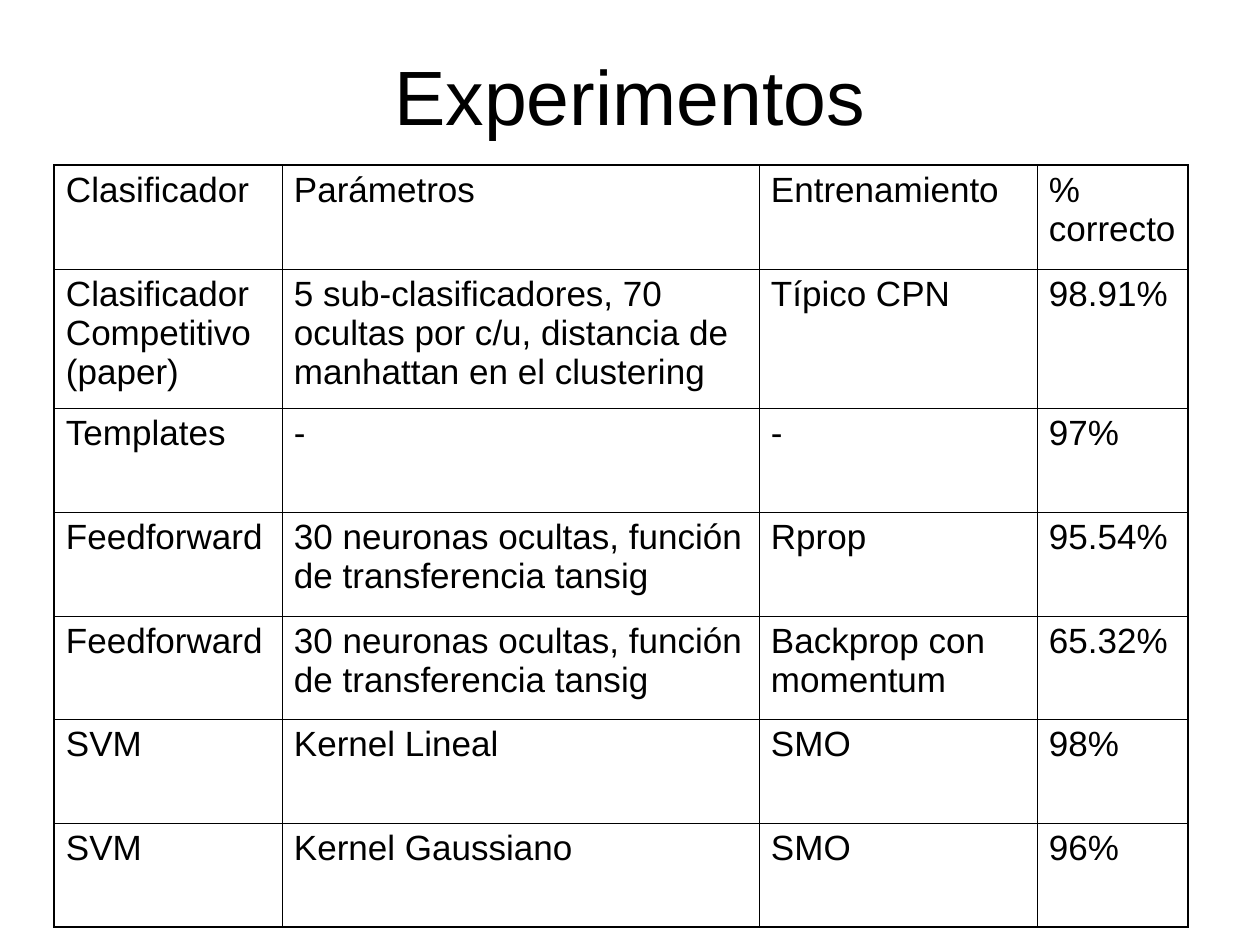
from dataclasses import dataclass

from lxml.etree import SubElement
from pptx import Presentation
from pptx.dml.color import RGBColor
from pptx.enum.text import MSO_ANCHOR as Anchor, PP_ALIGN as Align
from pptx.oxml.ns import qn
from pptx.util import Emu, Pt


@dataclass(frozen=True)
class Theme:
    font: str = "Arial"
    ink: str = "000000"
    title_size: int = 44
    cell_size: int = 20
    outer_rule: float = 1.08
    inner_rule: float = 0.45


THEME = Theme()
EMU_PER_PX = 914400 / 126

COLUMN_WIDTHS = [228, 477, 278, 151]
ROW_HEIGHTS = [104, 139, 104, 104, 103, 104, 104]
EXPERIMENTS = [
    ["Clasificador", "Parámetros", "Entrenamiento", "% correcto"],
    ["Clasificador Competitivo (paper)",
     "5 sub-clasificadores, 70 ocultas por c/u, distancia de manhattan en el clustering",
     "Típico CPN", "98.91%"],
    ["Templates", "-", "-", "97%"],
    ["Feedforward", "30 neuronas ocultas, función de transferencia tansig",
     "Rprop", "95.54%"],
    ["Feedforward", "30 neuronas ocultas, función de transferencia tansig",
     "Backprop con momentum", "65.32%"],
    ["SVM", "Kernel Lineal", "SMO", "98%"],
    ["SVM", "Kernel Gaussiano", "SMO", "96%"],
]


def px(length):
    return Emu(round(length * EMU_PER_PX))


def write(frame, wording, size, align):
    frame.text = wording
    frame.word_wrap = True
    paragraph = frame.paragraphs[0]
    paragraph.alignment = align
    for run in paragraph.runs:
        run.font.name = THEME.font
        run.font.size = Pt(size)
        run.font.color.rgb = RGBColor.from_string(THEME.ink)


def rule_cell(cell, outer_sides):
    properties = cell._tc.get_or_add_tcPr()
    for side in "LRTB":
        width = THEME.outer_rule if side in outer_sides else THEME.inner_rule
        border = SubElement(properties, qn(f"a:ln{side}"), w=str(Pt(width)))
        fill = SubElement(border, qn("a:solidFill"))
        SubElement(fill, qn("a:srgbClr"), val=THEME.ink)


def add_title(slide, left, top, width, height):
    title = slide.shapes.add_textbox(px(left), px(top), px(width), px(height))
    title.text_frame.vertical_anchor = Anchor.MIDDLE
    write(title.text_frame, "Experimentos", THEME.title_size, Align.CENTER)


def add_results(slide, left, top):
    last_row, last_column = len(ROW_HEIGHTS) - 1, len(COLUMN_WIDTHS) - 1
    results = slide.shapes.add_table(
        len(ROW_HEIGHTS), len(COLUMN_WIDTHS), px(left), px(top),
        px(sum(COLUMN_WIDTHS)), px(sum(ROW_HEIGHTS))).table
    results.first_row = False
    results.horz_banding = False
    for column, width in zip(results.columns, COLUMN_WIDTHS):
        column.width = px(width)
    for row, height in zip(results.rows, ROW_HEIGHTS):
        row.height = px(height)
    for r, experiment in enumerate(EXPERIMENTS):
        for c, wording in enumerate(experiment):
            cell = results.cell(r, c)
            edges = {"L": c == 0, "R": c == last_column,
                     "T": r == 0, "B": r == last_row}
            rule_cell(cell, [side for side, outer in edges.items() if outer])
            cell.fill.background()
            cell.margin_left = cell.margin_right = px(12)
            cell.margin_top = cell.margin_bottom = px(6)
            write(cell.text_frame, wording, THEME.cell_size, Align.LEFT)


def main():
    deck = Presentation()
    deck.slide_width, deck.slide_height = px(1260), px(945)
    slide = deck.slides.add_slide(deck.slide_layouts[6])
    add_title(slide, 63, 16, 1134, 158)
    add_results(slide, 54, 165)
    deck.save("out.pptx")


if __name__ == "__main__":
    main()
